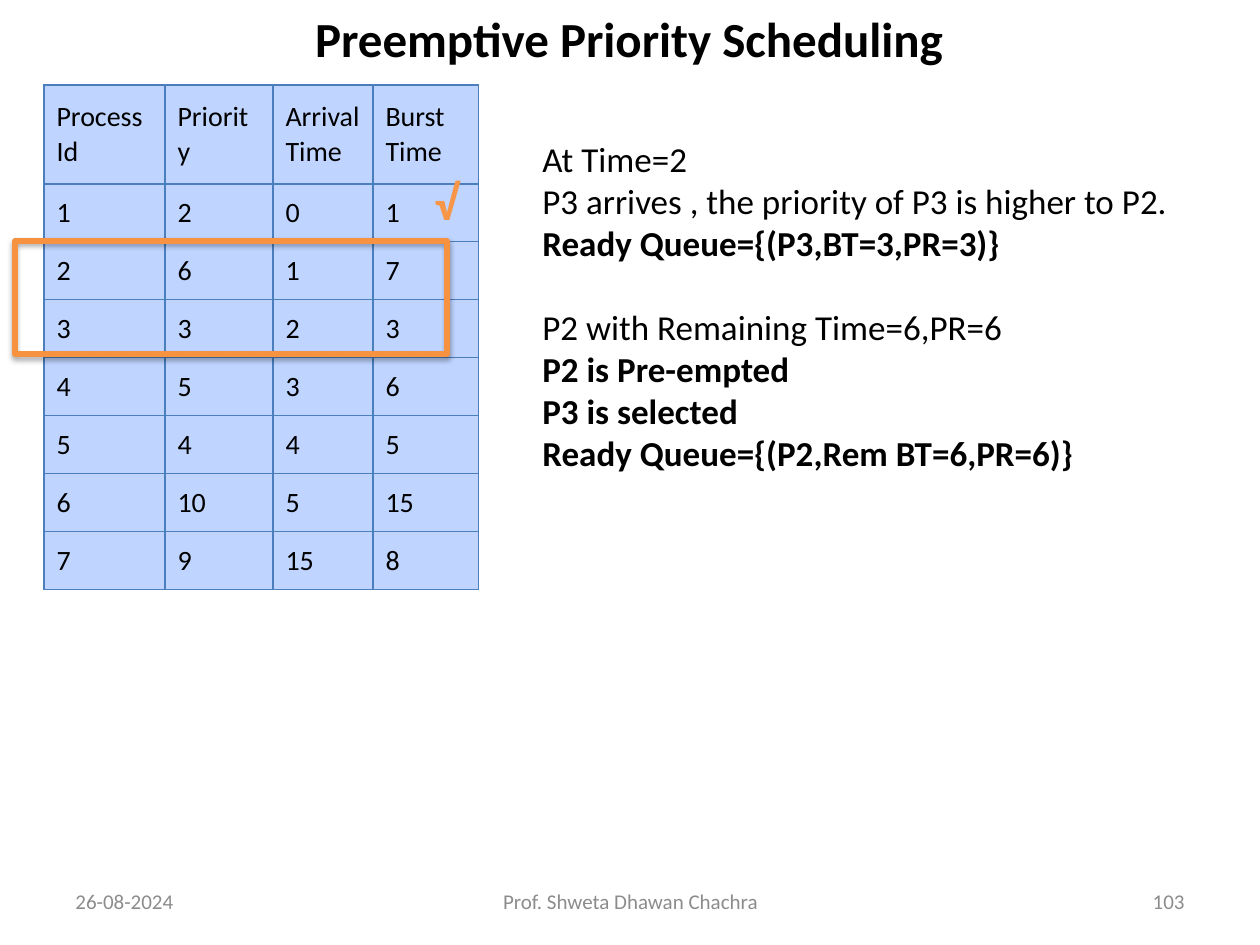
from lxml import etree
from pptx import Presentation, util as u
from pptx.dml.color import RGBColor
from pptx.enum import shapes, text
from pptx.oxml import parse_xml
from pptx.oxml.ns import nsdecls, qn

TITLE = "Preemptive Priority Scheduling"
HEAD = ["Process Id", "Priority", "Arrival Time", "Burst Time"]
JOBS = [
    (1, 2, 0, 1),
    (2, 6, 1, 7),
    (3, 3, 2, 3),
    (4, 5, 3, 6),
    (5, 4, 4, 5),
    (6, 10, 5, 15),
    (7, 9, 15, 8),
]
STEPS = [
    ("At Time=2", False, 0),
    ("P3 arrives , the priority of P3 is higher to P2.", False, 0),
    ("Ready Queue={(P3,BT=3,PR=3)}", True, 0),
    ("P2 with Remaining Time=6,PR=6", False, 24),
    ("P2 is Pre-empted", True, 0),
    ("P3 is selected", True, 0),
    ("Ready Queue={(P2,Rem BT=6,PR=6)}", True, 0),
]
LEFT, MID, RIGHT = text.PP_ALIGN.LEFT, text.PP_ALIGN.CENTER, text.PP_ALIGN.RIGHT
FOOT = [
    ("26-08-2024", 63, 294, LEFT),
    ("Prof. Shweta Dhawan Chachra", 431, 399, MID),
    ("103", 903, 294, RIGHT),
]
COLS = [121, 108, 100, 106]
TOP, ROW = 99, 58
SHADE = (
    f'<a:outerShdw {nsdecls("a")} blurRad="40000" dist="23000" dir="5400000" '
    'rotWithShape="0"><a:srgbClr val="000000"><a:alpha val="35000"/>'
    "</a:srgbClr></a:outerShdw>"
)


def px(n):
    return u.Emu(round(n * 914400 / 126))


def hue(code):
    return RGBColor.from_string(code)


def style(font, size, code="000000", bold=False):
    for key, val in {"name": "Calibri", "size": u.Pt(size), "bold": bold}.items():
        setattr(font, key, val)
    font.color.rgb = hue(code)


def put(frame, lines, size, code="000000", align=LEFT):
    for i, (words, bold, gap) in enumerate(lines):
        para = frame.add_paragraph() if i else frame.paragraphs[0]
        para.text = words
        para.alignment = align
        if gap:
            para.space_before = u.Pt(gap)
        style(para.runs[0].font, size, code, bold)


def add_box(slide, box, lines, size, code, align=LEFT, wrap=True, anchor=text.MSO_ANCHOR.TOP):
    frame = slide.shapes.add_textbox(*map(px, box)).text_frame
    frame.word_wrap = wrap
    frame.vertical_anchor = anchor
    put(frame, lines, size, code, align)


def edge(cell, code, width):
    props = cell._tc.get_or_add_tcPr()
    for i, side in enumerate(("lnL", "lnR", "lnT", "lnB")):
        line = etree.Element(qn("a:" + side), w=str(u.Pt(width)))
        fill = etree.SubElement(line, qn("a:solidFill"))
        etree.SubElement(fill, qn("a:srgbClr"), val=code)
        props.insert(i, line)


def add_grid(slide):
    rows = [HEAD, *JOBS]
    high = TOP + ROW * len(JOBS)
    box = (44, 85, sum(COLS), high)
    grid = slide.shapes.add_table(len(rows), len(COLS), *map(px, box)).table
    grid.first_row = grid.horz_banding = False
    for col, wide in zip(grid.columns, COLS):
        col.width = px(wide)
    for r, vals in enumerate(rows):
        grid.rows[r].height = px(ROW if r else TOP)
        for c, val in enumerate(vals):
            cell = grid.cell(r, c)
            cell.vertical_anchor = text.MSO_ANCHOR.MIDDLE
            cell.fill.solid()
            cell.fill.fore_color.rgb = hue("BFD4FF")
            put(cell.text_frame, [(str(val), False, 0)], 16)
            edge(cell, "4B7EBC", 0.75)


def add_frame(slide):
    box = (15, 241, 432, 113)
    frame = slide.shapes.add_shape(shapes.MSO_SHAPE.RECTANGLE, *map(px, box))
    frame.fill.background()
    frame.line.color.rgb = hue("F69240")
    frame.line.width = u.Pt(3)
    frame.shadow.inherit = False
    frame._element.spPr.find(qn("a:effectLst")).append(parse_xml(SHADE))


def main():
    deck = Presentation()
    deck.slide_width, deck.slide_height = px(1260), px(945)
    slide = deck.slides.add_slide(deck.slide_layouts[5])
    title = slide.shapes.title
    for key, val in zip(("left", "top", "width", "height"), (62, -2, 1134, 79)):
        setattr(title, key, px(val))
    title.text_frame.vertical_anchor = text.MSO_ANCHOR.MIDDLE
    put(title.text_frame, [(TITLE, True, 0)], 28, align=MID)
    add_grid(slide)
    for words, left, wide, align in FOOT:
        add_box(slide, (left, 876, wide, 50), [(words, False, 0)], 12, "8C8C8C",
                align, anchor=text.MSO_ANCHOR.MIDDLE)
    add_box(slide, (530, 131, 694, 394), STEPS, 20, "000000")
    add_frame(slide)
    add_box(slide, (422, 165, 50, 72), [("√", True, 0)], 28, "F79646", wrap=False)
    deck.save("out.pptx")


if __name__ == "__main__":
    main()
